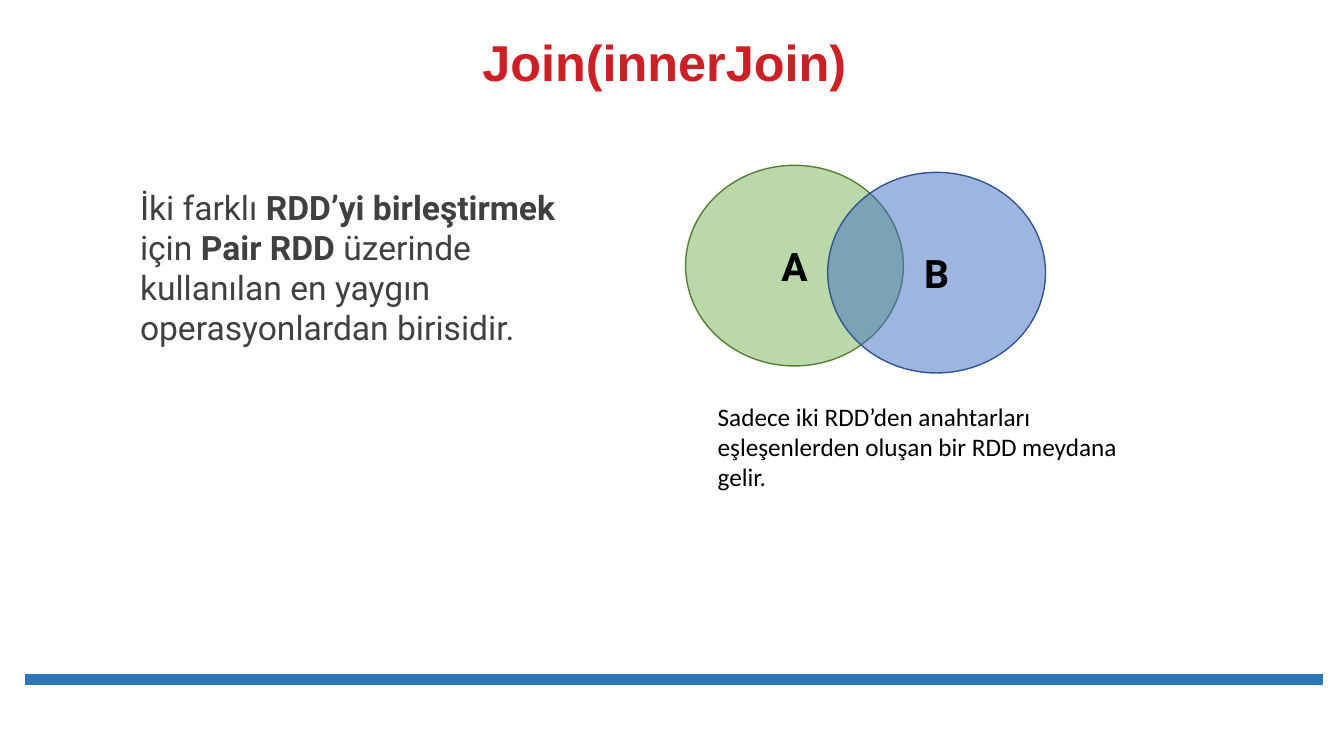
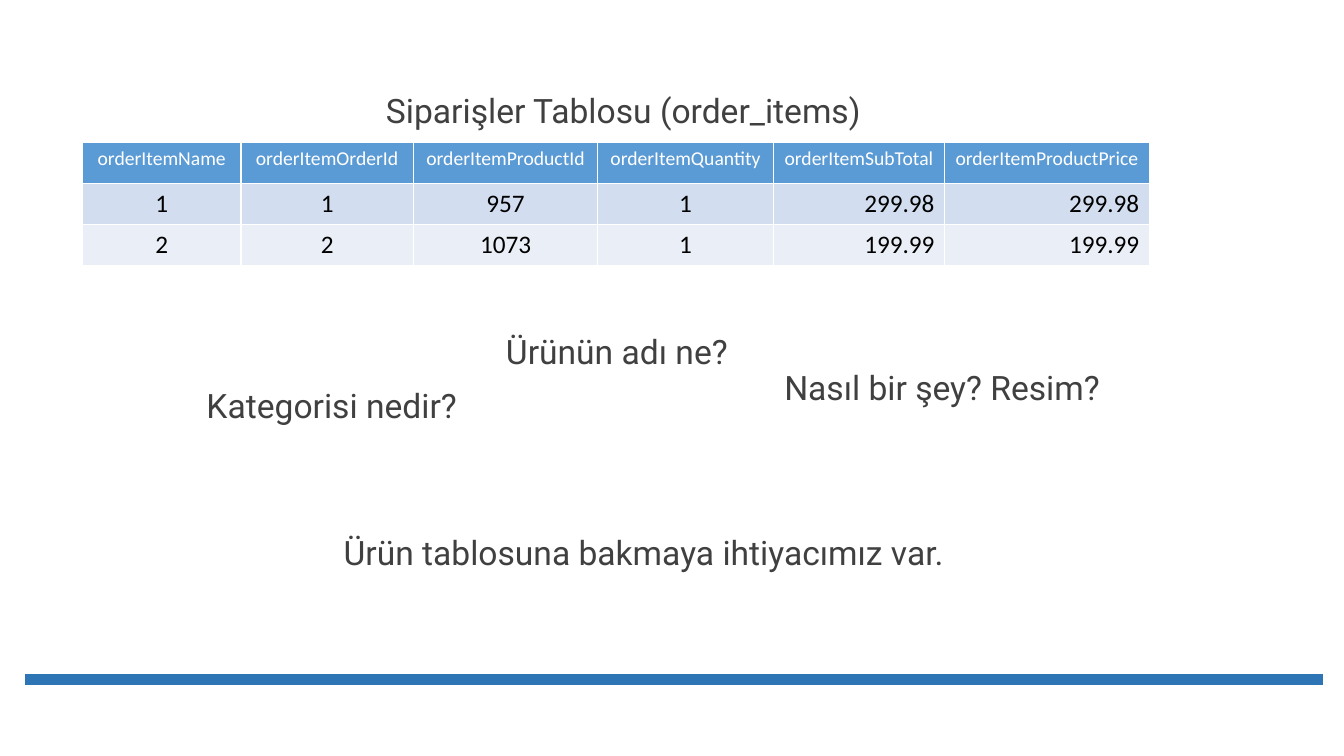
from lxml import etree
from pptx import Presentation
from pptx.dml.color import RGBColor
from pptx.enum.shapes import MSO_CONNECTOR, MSO_SHAPE
from pptx.enum.text import MSO_ANCHOR, MSO_AUTO_SIZE, PP_ALIGN
from pptx.oxml.ns import qn
from pptx.util import Inches, Pt

COLORS = {
    "title": "CD1F26",
    "body": "404041",
    "black": "000000",
    "white": "FFFFFF",
    "band": "2E75B6",
    "header": "5B9BD5",
    "row_odd": "D2DEEF",
    "row_even": "EAEFF7",
    "green": "70AD47",
    "green_line": "538035",
    "blue": "4472C4",
    "blue_line": "325491",
}
RGB = {name: RGBColor.from_string(value) for name, value in COLORS.items()}

STYLES = {
    "title": {"name": "Arial", "size": Pt(36), "bold": True, "color": "title"},
    "body": {"name": "Roboto", "size": Pt(24), "bold": False, "color": "body"},
    "caption": {"name": "Calibri", "size": Pt(18), "bold": False, "color": "black"},
    "set_label": {"name": "Roboto", "size": Pt(28), "bold": True, "color": "black"},
    "table_header": {"name": "Calibri", "size": Pt(14), "bold": False, "color": "white"},
}


def write_text(text_frame, text, style, alignment=PP_ALIGN.LEFT, line_spacing=None):
    """Fill the first paragraph; parts between ** marks become bold."""
    paragraph = text_frame.paragraphs[0]
    paragraph.alignment = alignment
    paragraph.line_spacing = line_spacing
    for index, part in enumerate(text.split("**")):
        run = paragraph.add_run()
        run.text = part
        for attribute, value in STYLES[style].items():
            if attribute == "color":
                run.font.color.rgb = RGB[value]
            else:
                setattr(run.font, attribute, value)
        if index % 2:
            run.font.bold = True


def add_text_box(slide, box, text, style, wrap=True, **paragraph_format):
    shape = slide.shapes.add_textbox(*map(Inches, box))
    shape.text_frame.word_wrap = wrap
    shape.text_frame.auto_size = MSO_AUTO_SIZE.NONE
    write_text(shape.text_frame, text, style, **paragraph_format)
    return shape


presentation = Presentation()
presentation.slide_width = Inches(13.33)
presentation.slide_height = Inches(7.5)

# Both slides carry the same footer band
slides = []
for _ in range(2):
    slide = presentation.slides.add_slide(presentation.slide_layouts[6])
    band = slide.shapes.add_connector(
        MSO_CONNECTOR.STRAIGHT, Inches(0.25), Inches(6.74), Inches(13.12), Inches(6.74)
    )
    band.line.color.rgb = RGB["band"]
    band.line.width = Pt(8)
    etree.SubElement(band.element.spPr, qn("a:effectLst"))
    slides.append(slide)
join_slide, orders_slide = slides

# Slide 1: inner join
title = add_text_box(
    join_slide, (1.59, 0.23, 10, 0.74), "Join(innerJoin)", "title",
    alignment=PP_ALIGN.CENTER, line_spacing=0.9,
)
title.text_frame.vertical_anchor = MSO_ANCHOR.BOTTOM

for label, left, top, color, opacity in (
    ("A", 6.8, 1.64, "green", 47),
    ("B", 8.21, 1.71, "blue", 52),
):
    circle = join_slide.shapes.add_shape(
        MSO_SHAPE.OVAL, Inches(left), Inches(top), Inches(2.16), Inches(1.99)
    )
    circle.shadow.inherit = False
    circle.fill.solid()
    circle.fill.fore_color.rgb = RGB[color]
    fill_color = circle.element.spPr.find(qn("a:solidFill")).find(qn("a:srgbClr"))
    etree.SubElement(fill_color, qn("a:alpha"), val=str(opacity * 1000))
    circle.line.color.rgb = RGB[color + "_line"]
    circle.line.width = Pt(1)
    circle.text_frame.vertical_anchor = MSO_ANCHOR.MIDDLE
    write_text(circle.text_frame, label, "set_label", PP_ALIGN.CENTER)

add_text_box(
    join_slide, (7.02, 3.93, 4.67, 1.01),
    "Sadece iki RDD’den anahtarları eşleşenlerden oluşan bir RDD meydana gelir.",
    "caption",
)
add_text_box(
    join_slide, (1.29, 1.8, 4.71, 1.72),
    "İki farklı **RDD’yi birleştirmek** için **Pair RDD** üzerinde "
    "kullanılan en yaygın operasyonlardan birisidir.",
    "body",
)

# Slide 2: order table and the questions it leaves open
column_widths = (1.57, 1.71, 1.83, 1.74, 1.7, 2.03)
rows = (
    ("orderItemName", "orderItemOrderId", "orderItemProductId",
     "orderItemQuantity", "orderItemSubTotal", "orderItemProductPrice"),
    ("1", "1", "957", "1", "299.98", "299.98"),
    ("2", "2", "1073", "1", "199.99", "199.99"),
)
row_fills = ("header", "row_odd", "row_even")
row_height = 0.41
first_price_column = 4

table = orders_slide.shapes.add_table(
    len(rows), len(column_widths), Inches(0.82), Inches(1.41),
    Inches(sum(column_widths)), Inches(row_height * len(rows)),
).table
for column, width in zip(table.columns, column_widths):
    column.width = Inches(width)
for row_index, (values, fill) in enumerate(zip(rows, row_fills)):
    table.rows[row_index].height = Inches(row_height)
    for column_index, value in enumerate(values):
        cell = table.cell(row_index, column_index)
        cell.fill.solid()
        cell.fill.fore_color.rgb = RGB[fill]
        is_price = row_index > 0 and column_index >= first_price_column
        write_text(
            cell.text_frame, value,
            "caption" if row_index else "table_header",
            PP_ALIGN.RIGHT if is_price else PP_ALIGN.CENTER,
        )

for text, box, line_spacing in (
    ("Siparişler Tablosu (order_items)", (3.73, 0.84, 4.95, 0.5), None),
    ("Ürünün adı ne?", (4.92, 2.83, 2.52, 0.78), 2.0),
    ("Ürün tablosuna bakmaya ihtiyacımız var.", (3.31, 4.83, 6.27, 0.91), 2.0),
    ("Nasıl bir şey? Resim?", (7.68, 3.19, 3.48, 0.91), 2.0),
    ("Kategorisi nedir?", (1.95, 3.37, 2.73, 0.91), 2.0),
):
    add_text_box(orders_slide, box, text, "body", wrap=False, line_spacing=line_spacing)

presentation.save("out.pptx")
